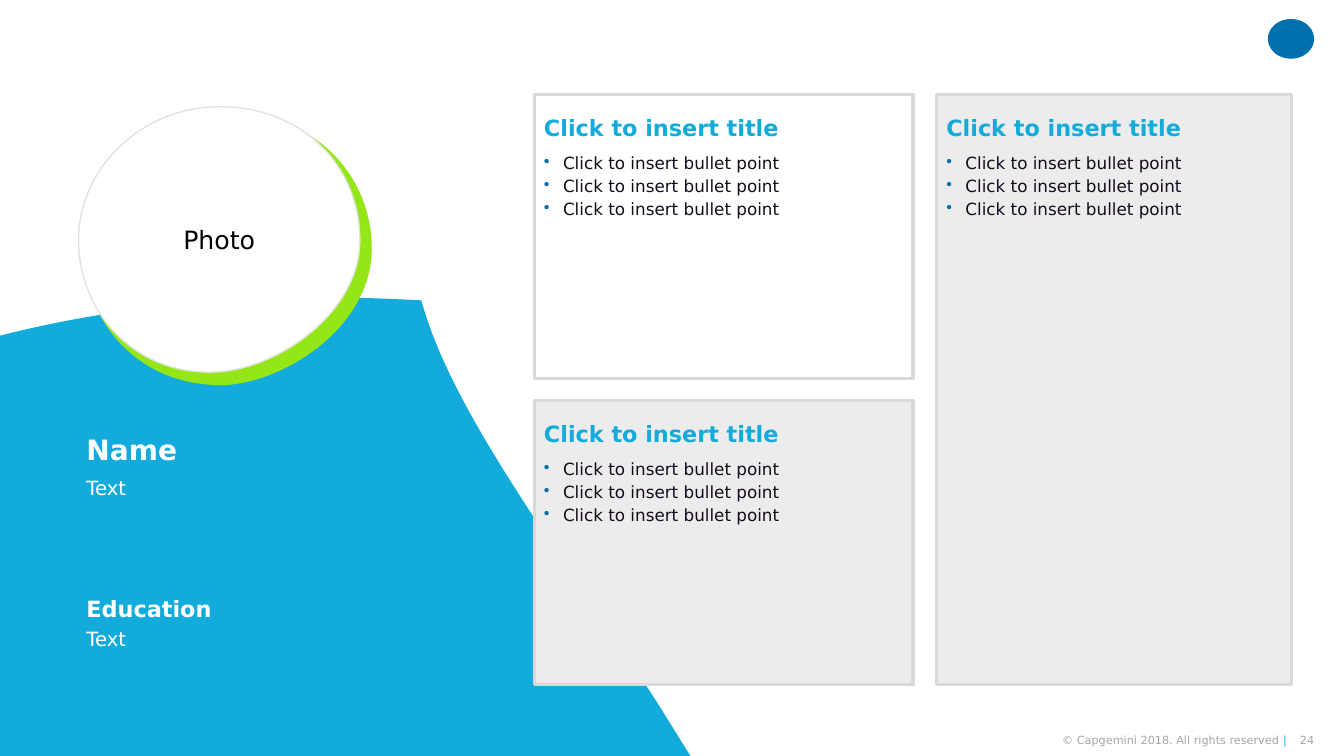
from lxml import etree
from pptx import Presentation, util as u
from pptx.dml.color import RGBColor
from pptx.enum import shapes, text
from pptx.oxml.ns import qn

Cm, Pt = u.Cm, u.Pt
FONT = "DejaVu Sans"
BLUE = RGBColor(0x12, 0xAB, 0xDB)
DEEP_BLUE = RGBColor(0x00, 0x70, 0xAD)
GREEN = RGBColor(0x95, 0xE6, 0x16)
WHITE = RGBColor(0xFF, 0xFF, 0xFF)
BLACK = RGBColor(0x00, 0x00, 0x00)
INK = RGBColor(0x16, 0x0A, 0x1E)
PANEL_GREY = RGBColor(0xEC, 0xEC, 0xEC)
PANEL_EDGE = RGBColor(0xD9, 0xD9, 0xD9)
PHOTO_EDGE = RGBColor(0xE2, 0xE2, 0xE2)
FOOTER_GREY = RGBColor(0xA6, 0xA6, 0xA6)

# Content; all lengths in cm
PANEL_TITLE = "Click to insert title"
PANEL_BULLETS = ["Click to insert bullet point"] * 3
PANELS = [  # left, top, width, height, fill
    (13.46, 2.38, 9.55, 7.16, None),
    (13.46, 10.09, 9.55, 7.16, PANEL_GREY),
    (23.6, 2.38, 8.94, 14.87, PANEL_GREY),
]
HEADING = {"size": Pt(16), "bold": True}
BODY = {"size": Pt(14), "bold": False}
PROFILE = [  # text, top, height, format
    ("Name", 10.8, 1.14, {"size": Pt(20), "bold": True}),
    ("Text", 11.99, 2.49, BODY),
    ("Education", 14.93, 0.91, HEADING),
    ("Text", 15.8, 1.98, BODY),
]
COPYRIGHT = "© Capgemini 2018. All rights reserved "
PAGE = "24"

# Outlines: a start point, then lines (1 point) or Bézier curves (3 points)
WAVE = [(7.87, 7.49),
        [(8.79, 7.49), (9.7, 7.52), (10.62, 7.57)],
        [(11.4, 10.44), (14.15, 13.94), (16.61, 17.78)],
        [(17.4, 19.05)], [(0, 19.05)], [(0, 8.46)],
        [(2.49, 7.82), (5.16, 7.52), (7.87, 7.49)]]
PHOTO_SHADE = [(2.11, 6.27),
               [(2.11, 4.39), (3.81, 2.9), (5.74, 2.84)],
               [(7.9, 2.84), (9.37, 4.39), (9.37, 6.27)],
               [(9.37, 8.18), (7.29, 9.58), (5.74, 9.7)],
               [(3.58, 9.8), (2.11, 8.18), (2.11, 6.27)]]
PHOTO = [(1.98, 6.05),
         [(1.98, 4.19), (3.63, 2.69), (5.51, 2.69)],
         [(7.62, 2.67), (9.07, 4.19), (9.07, 6.05)],
         [(9.07, 7.87), (7.04, 9.27), (5.51, 9.37)],
         [(3.4, 9.5), (1.98, 7.87), (1.98, 6.05)]]

prs = Presentation()
prs.slide_width, prs.slide_height = Cm(33.87), Cm(19.05)
slide = prs.slides.add_slide(prs.slide_layouts[6])


def paint(shape, fill=None, edge=None, weight=1):
    shape.shadow.inherit = False
    if fill is None:
        shape.fill.background()
    else:
        shape.fill.solid()
        shape.fill.fore_color.rgb = fill
    if edge is None:
        shape.line.fill.background()
    else:
        shape.line.color.rgb = edge
        shape.line.width = Pt(weight)
    return shape


def add_outline(outline, **style):
    (x0, y0), *segments = outline
    builder = slide.shapes.build_freeform(Cm(x0), Cm(y0))
    builder.add_line_segments([(Cm(x), Cm(y)) for x, y in (s[-1] for s in segments)],
                              close=True)
    shape = builder.convert_to_shape()
    # Turn the three-point segments into true curves
    lines = list(shape._element.iter(qn("a:lnTo")))
    for line, segment in zip(lines, segments):
        if len(segment) == 3:
            curve = etree.Element(qn("a:cubicBezTo"))
            for x, y in segment:
                etree.SubElement(curve, qn("a:pt"), x=str(Cm(x) - shape.left),
                                 y=str(Cm(y) - shape.top))
            line.getparent().replace(line, curve)
    return paint(shape, **style)


def style_run(run, color, **values):
    for key, value in {"name": FONT, **values}.items():
        setattr(run.font, key, value)
    run.font.color.rgb = color


def add_text(left, top, width, height, lines, color, bullets=False, middle=False,
             align=text.PP_ALIGN.LEFT, spacing=1.0, **values):
    frame = slide.shapes.add_textbox(Cm(left), Cm(top), Cm(width), Cm(height)).text_frame
    settings = {"word_wrap": True, "margin_left": 0, "margin_right": 0,
                "margin_top": 0, "margin_bottom": 0,
                "vertical_anchor": text.MSO_ANCHOR.MIDDLE if middle else text.MSO_ANCHOR.TOP}
    for key, value in settings.items():
        setattr(frame, key, value)
    for i, line in enumerate(lines):
        para = frame.add_paragraph() if i else frame.paragraphs[0]
        para.alignment, para.line_spacing = align, spacing
        if i:
            para.space_before = Pt(2)
        if bullets:
            add_bullet(para)
        run = para.add_run()
        run.text = line
        style_run(run, color, **values)
    return frame


def add_bullet(para):
    props = para._p.get_or_add_pPr()
    props.set("marL", str(Cm(0.48)))
    props.set("indent", str(-Cm(0.48)))
    tint = etree.SubElement(props, qn("a:buClr"))
    etree.SubElement(tint, qn("a:srgbClr"), val=str(DEEP_BLUE))
    etree.SubElement(props, qn("a:buChar"), char="•")


# Corner mark
paint(slide.shapes.add_shape(shapes.MSO_SHAPE.OVAL, Cm(31.95), Cm(0.48), Cm(1.17), Cm(1)),
      fill=DEEP_BLUE)

# Footer
RIGHT = text.PP_ALIGN.RIGHT
add_text(32.64, 18.49, 0.48, 0.33, [PAGE], FOOTER_GREY, middle=True, align=RIGHT, size=Pt(8))
footer = add_text(25.04, 18.49, 7.39, 0.33, [COPYRIGHT], FOOTER_GREY,
                  middle=True, align=RIGHT, size=Pt(8))
divider = footer.paragraphs[0].add_run()
divider.text = "|"
style_run(divider, BLUE, size=Pt(8))

# Profile side
add_outline(WAVE, fill=BLUE)
add_outline(PHOTO_SHADE, fill=GREEN)
photo = add_outline(PHOTO, fill=WHITE, edge=PHOTO_EDGE).text_frame
photo.vertical_anchor = text.MSO_ANCHOR.MIDDLE
photo.paragraphs[0].alignment = text.PP_ALIGN.CENTER
caption = photo.paragraphs[0].add_run()
caption.text = "Photo"
style_run(caption, BLACK, size=Pt(18))
for words, top, height, form in PROFILE:
    add_text(2.18, top, 9.17, height, [words], WHITE, middle=form["bold"],
             spacing=0.9 if form["bold"] else 1.0, **form)

# Panels
for left, top, width, height, fill in PANELS:
    panel = slide.shapes.add_shape(shapes.MSO_SHAPE.RECTANGLE,
                                   Cm(left), Cm(top), Cm(width), Cm(height))
    paint(panel, fill=fill, edge=PANEL_EDGE, weight=2.25)
    inner_left, inner_width = left + 0.25, width - 0.6
    add_text(inner_left, top + 0.3, inner_width, 1.14, [PANEL_TITLE], BLUE,
             middle=True, spacing=0.9, **HEADING)
    add_text(inner_left, top + 1.48, inner_width, 5.41, PANEL_BULLETS, INK,
             bullets=True, size=Pt(12))

prs.save("out.pptx")
